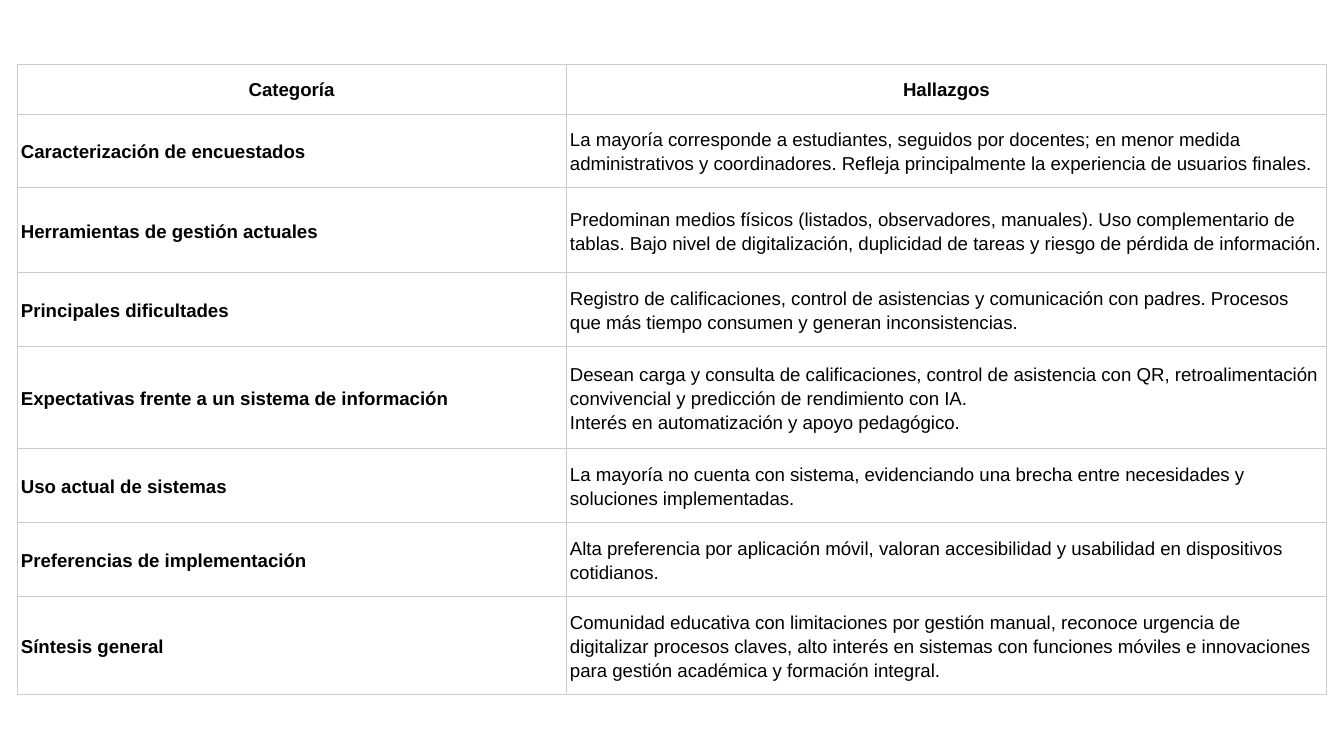
from lxml.etree import SubElement
from pptx import Presentation
from pptx.dml.color import RGBColor
from pptx.enum.text import MSO_ANCHOR as Anchor, PP_ALIGN as Align
from pptx.oxml.ns import qn
from pptx.util import Emu, Pt

EMU_PER_PX = 6804
BLACK = RGBColor(0x00, 0x00, 0x00)
GRID = RGBColor(0xCC, 0xCC, 0xCC)

COLUMN_WIDTHS = [549, 761]
ROW_HEIGHTS = [38, 69, 85, 69, 102, 55, 55, 85]
HEADER = ("Categoría", "Hallazgos")
FINDINGS = [
    ("Caracterización de encuestados",
     "La mayoría corresponde a estudiantes, seguidos por docentes; en menor medida "
     "administrativos y coordinadores. Refleja principalmente la experiencia de usuarios finales."),
    ("Herramientas de gestión actuales",
     "Predominan medios físicos (listados, observadores, manuales). Uso complementario de "
     "tablas. Bajo nivel de digitalización, duplicidad de tareas y riesgo de pérdida de información."),
    ("Principales dificultades",
     "Registro de calificaciones, control de asistencias y comunicación con padres. Procesos "
     "que más tiempo consumen y generan inconsistencias."),
    ("Expectativas frente a un sistema de información",
     "Desean carga y consulta de calificaciones, control de asistencia con QR, "
     "retroalimentación convivencial y predicción de rendimiento con IA.\v"
     "Interés en automatización y apoyo pedagógico."),
    ("Uso actual de sistemas",
     "La mayoría no cuenta con sistema, evidenciando una brecha entre necesidades y "
     "soluciones implementadas."),
    ("Preferencias de implementación",
     "Alta preferencia por aplicación móvil, valoran accesibilidad y usabilidad en dispositivos "
     "cotidianos."),
    ("Síntesis general",
     "Comunidad educativa con limitaciones por gestión manual, reconoce urgencia de "
     "digitalizar procesos claves, alto interés en sistemas con funciones móviles e innovaciones "
     "para gestión académica y formación integral."),
]


def px(length):
    return Emu(length * EMU_PER_PX)


def write(para, text, font="Arial", size=10, color=BLACK, bold=False,
          align=Align.LEFT, spacing=1.15):
    para.text = text
    para.alignment = align
    para.line_spacing = spacing
    for span in para.runs:
        span.font.name = font
        span.font.size = Pt(size)
        span.font.bold = bold
        span.font.color.rgb = color
    for line_break in para._p.findall(qn("a:br")):
        SubElement(line_break, qn("a:rPr"), sz=str(size * 100))


class FindingsPage:
    """Holds the table style and the current slide."""

    def __init__(self, page, border=GRID, border_width=0.5, side_margin=4, end_margin=13):
        self.page = page
        self.border = border
        self.border_width = border_width
        self.side_margin = side_margin
        self.end_margin = end_margin

    def table(self, left, top, widths, heights, header, rows):
        frame = self.page.shapes.add_table(
            len(heights), len(widths), px(left), px(top), px(sum(widths)), px(sum(heights)))
        table = frame.table
        table.first_row = table.horz_banding = False
        for column, width in zip(table.columns, widths):
            column.width = px(width)
        for row, height in zip(table.rows, heights):
            row.height = px(height)
        for row_index, texts in enumerate([header, *rows]):
            is_header = row_index == 0
            for column_index, text in enumerate(texts):
                self.cell(table.cell(row_index, column_index), text,
                          bold=is_header or column_index == 0,
                          align=Align.CENTER if is_header else Align.LEFT)

    def cell(self, cell, text, **style):
        cell.margin_left = cell.margin_right = px(self.side_margin)
        cell.margin_top = cell.margin_bottom = px(self.end_margin)
        cell.vertical_anchor = Anchor.MIDDLE
        self.borders(cell)
        cell.fill.background()
        write(cell.text_frame.paragraphs[0], text, **style)

    def borders(self, cell):
        properties = cell._tc.get_or_add_tcPr()
        for side in ("a:lnL", "a:lnR", "a:lnT", "a:lnB"):
            line = SubElement(properties, qn(side), w=str(Pt(self.border_width)))
            fill = SubElement(line, qn("a:solidFill"))
            SubElement(fill, qn("a:srgbClr"), val=str(self.border))


def main():
    deck = Presentation()
    deck.slide_width, deck.slide_height = px(1344), px(756)
    findings = FindingsPage(deck.slides.add_slide(deck.slide_layouts[6]))
    findings.table(17, 64, COLUMN_WIDTHS, ROW_HEIGHTS, HEADER, FINDINGS)
    deck.save("out.pptx")


if __name__ == "__main__":
    main()
